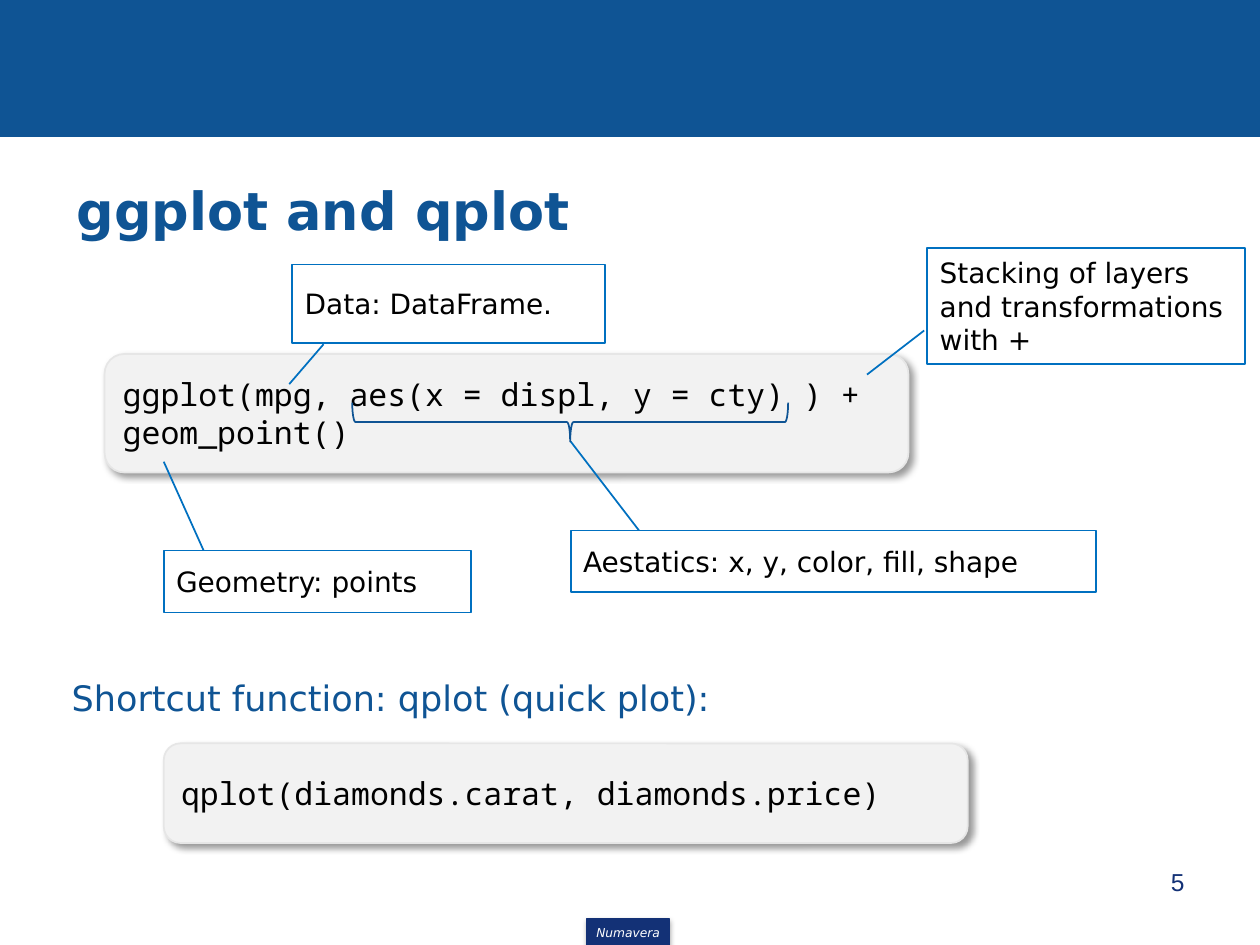
"""Build the slide that explains the parts of a ggplot call and the qplot shortcut."""
import pptx
import pptx.dml.color
import pptx.enum.shapes
import pptx.enum.text
import pptx.oxml
import pptx.oxml.ns
import pptx.util
from pptx.util import Inches

COLORS = {
    "band": "0F5494", "navy": "133176", "callout": "0070C0", "code": "F2F2F2",
    "code_edge": "E6E6E6", "white": "FFFFFF", "black": "000000",
}
SHAPE = pptx.enum.shapes.MSO_SHAPE
ALIGN = pptx.enum.text.PP_ALIGN
ANCHOR = pptx.enum.text.MSO_ANCHOR
SANS, MONO = "DejaVu Sans", "Noto Sans Mono"


def add_box(parent, kind, at, fill, line, width, shadow=None):
    box = parent.add_shape(kind, *map(Inches, at))
    box.shadow.inherit = False
    if fill:
        box.fill.solid()
        box.fill.fore_color.rgb = pptx.dml.color.RGBColor.from_string(COLORS[fill])
    else:
        box.fill.background()
    box.line.color.rgb = pptx.dml.color.RGBColor.from_string(COLORS[line])
    box.line.width = pptx.util.Pt(width)
    if shadow:
        alpha, blur, distance, angle = shadow
        effects = box._element.spPr.find(pptx.oxml.ns.qn("a:effectLst"))
        effects.append(pptx.oxml.parse_xml(
            f'<a:outerShdw {pptx.oxml.ns.nsdecls("a")} blurRad="{pptx.util.Pt(blur)}" '
            f'dist="{pptx.util.Pt(distance)}" dir="{angle * 60000}" algn="tl" rotWithShape="0">'
            f'<a:srgbClr val="{COLORS["black"]}"><a:alpha val="{alpha * 1000}"/></a:srgbClr>'
            '</a:outerShdw>'))
    return box


def write(box, text, size, color, font=SANS, align=ALIGN.LEFT, anchor=ANCHOR.MIDDLE):
    frame = box.text_frame
    frame.word_wrap = True
    frame.vertical_anchor = anchor
    paragraph = frame.paragraphs[0]
    paragraph.alignment = align
    run = paragraph.add_run()
    run.text = text
    run.font.size = pptx.util.Pt(size)
    run.font.name = font
    run.font.color.rgb = pptx.dml.color.RGBColor.from_string(COLORS[color])
    return run


deck = pptx.Presentation()
deck.slide_width, deck.slide_height = Inches(10), Inches(7.5)
slide = deck.slides.add_slide(deck.slide_layouts[6])
shapes = slide.shapes

add_box(shapes, SHAPE.RECTANGLE, (0, 0, 10, 1.08), "band", "band", 0.75)
footer = add_box(shapes, SHAPE.RECTANGLE, (4.66, 7.29, 0.65, 0.22), "navy", "navy", 0.75,
                 (35, 3.1, 1.8, 90))
footer.text_frame.margin_left = footer.text_frame.margin_right = 0
write(footer, "Numavera", 7, "white", align=ALIGN.CENTER).font.italic = True

title = shapes.add_textbox(Inches(0.51), Inches(1.15), Inches(9), Inches(1.02))
write(title, "ggplot and qplot", 30, "band").font.bold = True
shortcut = shapes.add_textbox(Inches(0.47), Inches(5.32), Inches(5.79), Inches(0.63))
write(shortcut, "Shortcut function: qplot (quick plot):", 20, "band", anchor=ANCHOR.TOP)
page_number = shapes.add_textbox(Inches(7.17), Inches(6.83), Inches(2.33), Inches(0.52))
write(page_number, "5", 14, "navy", "Arial", ALIGN.RIGHT, ANCHOR.TOP)

for at, code in [
    ((0.83, 2.81, 6.38, 0.94), "ggplot(mpg, aes(x = displ, y = cty) ) + geom_point()"),
    ((1.3, 5.9, 6.38, 0.79), "qplot(diamonds.carat, diamonds.price)"),
]:
    panel = add_box(shapes, SHAPE.ROUNDED_RECTANGLE, at, "code", "code_edge", 1, (40, 4, 3, 45))
    write(panel, code, 18, "black", MONO)

aesthetics = shapes.add_group_shape().shapes
upward = (0, 0.13, -1.44, 0)
for parent, at, pointer, label in [
    (shapes, (2.32, 2.1, 2.48, 0.62), (1.02, 0.1, 1.53, -0.01), "Data: DataFrame."),
    (aesthetics, (4.53, 4.21, 4.17, 0.49), upward, "Aestatics: x, y, color, fill, shape"),
    (shapes, (1.3, 4.37, 2.44, 0.49), upward, "Geometry: points"),
    (shapes, (7.36, 1.97, 2.52, 0.92), (0.71, -0.01, 1.09, -0.19),
     "Stacking of layers and transformations with +"),
]:
    callout = add_box(parent, SHAPE.LINE_CALLOUT_1, at, "white", "callout", 1)
    for index, value in enumerate(pointer):
        callout.adjustments[index] = value
    write(callout, label, 16, "black")

brace = add_box(aesthetics, SHAPE.RIGHT_BRACE, (4.37, 1.62, 0.31, 3.46), None, "band", 1)
brace.rotation = 90

deck.save("out.pptx")
